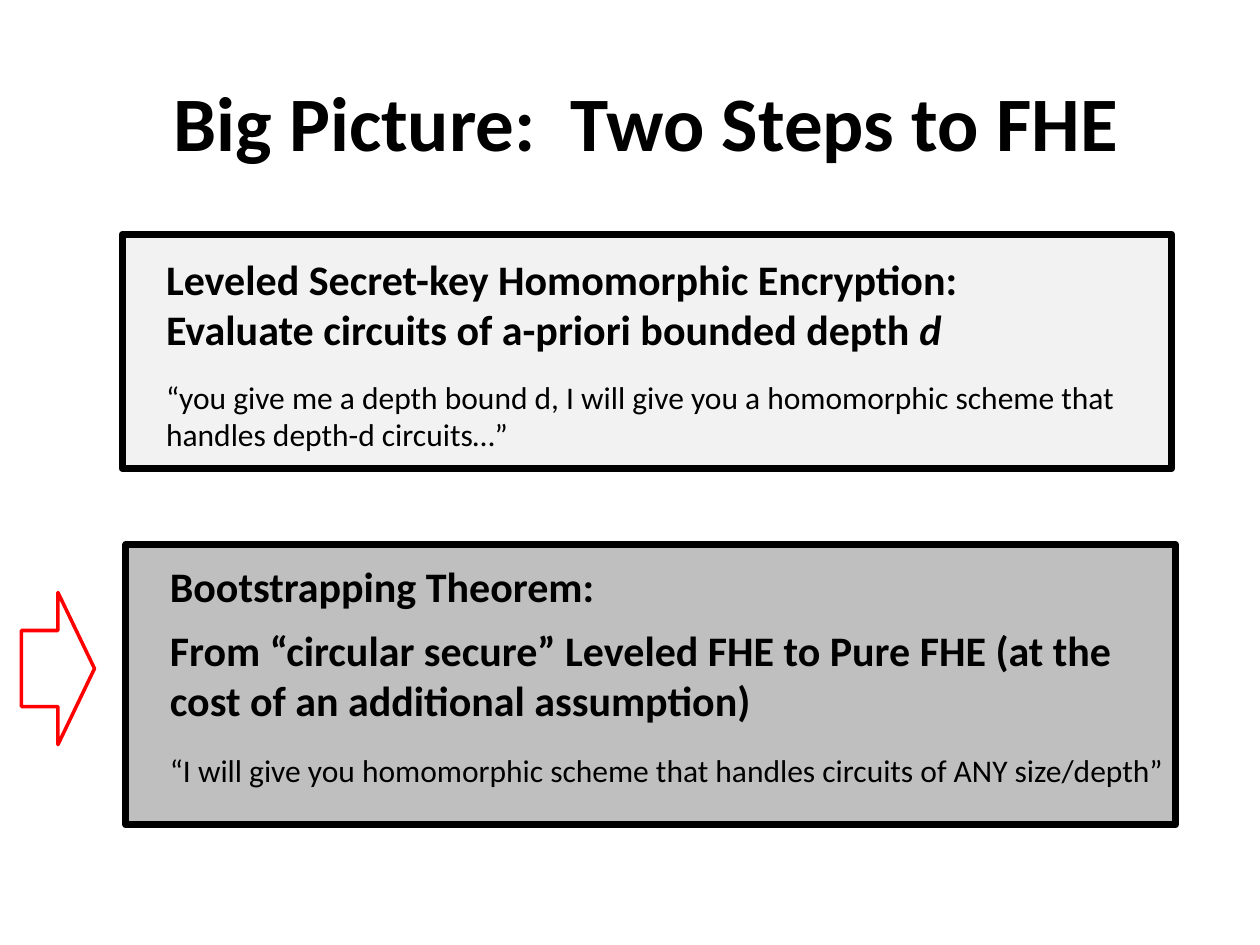
from dataclasses import dataclass

from pptx import Presentation
from pptx.dml.color import RGBColor
from pptx.enum.shapes import MSO_SHAPE as Shape
from pptx.enum.text import MSO_ANCHOR as Anchor, PP_ALIGN as Align
from pptx.util import Inches, Pt

SLIDE_WIDTH, SLIDE_HEIGHT = Inches(10), Inches(7.5)
FONT = "Calibri"
BLACK, RED = "000000", "FF0000"
HEADING, QUOTE = 24, 18


@dataclass
class Box:
    """A rectangle in percent of the slide's width and height."""
    left: float
    top: float
    width: float
    height: float

    def inner(self, left, top, width, height):
        return Box(self.left + left, self.top + top, width, height)

    def lengths(self):
        return (round(SLIDE_WIDTH * self.left / 100),
                round(SLIDE_HEIGHT * self.top / 100),
                round(SLIDE_WIDTH * self.width / 100),
                round(SLIDE_HEIGHT * self.height / 100))


def color(value):
    return RGBColor.from_string(value)


def set_font(paragraph, size, bold):
    font = paragraph.font
    font.name, font.size, font.bold = FONT, Pt(size), bold
    font.color.rgb = color(BLACK)


def add_title(slide, box, text):
    title = slide.shapes.title
    title.left, title.top, title.width, title.height = box.lengths()
    title.text_frame.text = text
    title.text_frame.vertical_anchor = Anchor.MIDDLE
    paragraph = title.text_frame.paragraphs[0]
    paragraph.alignment = Align.CENTER
    set_font(paragraph, 44, True)


def add_outlined(slide, kind, box, line, line_width, fill=None):
    shape = slide.shapes.add_shape(kind, *box.lengths())
    shape.shadow.inherit = False
    if fill:
        shape.fill.solid()
        shape.fill.fore_color.rgb = color(fill)
    else:
        shape.fill.background()
    shape.line.color.rgb = color(line)
    shape.line.width = Pt(line_width)


def add_text(slide, box, text, size, italic_tail=""):
    frame = slide.shapes.add_textbox(*box.lengths()).text_frame
    frame.word_wrap = True
    paragraph = frame.paragraphs[0]
    set_font(paragraph, size, size == HEADING)
    paragraph.add_run().text = text
    if italic_tail:
        tail = paragraph.add_run()
        tail.text = italic_tail
        tail.font.italic = True


def add_step(slide, box, fill, lines):
    """Draw a framed panel; each line is (top, width, height, text, size[, italic tail])."""
    add_outlined(slide, Shape.RECTANGLE, box, BLACK, 4, fill)
    for top, width, height, *content in lines:
        add_text(slide, box.inner(2.5, top, width, height), *content)


def main():
    presentation = Presentation()
    presentation.slide_width, presentation.slide_height = SLIDE_WIDTH, SLIDE_HEIGHT
    slide = presentation.slides.add_slide(presentation.slide_layouts[5])

    add_title(slide, Box(4.2, 4.4, 94.2, 16.7), "Big Picture:  Two Steps to FHE")
    add_step(slide, Box(9.7, 24.8, 83.3, 24.8), "F2F2F2", [
        (1.4, 78.3, 6.7, "Leveled Secret-key Homomorphic Encryption:", HEADING),
        (6.7, 78.3, 6.7, "Evaluate circuits of a-priori bounded depth ", HEADING, "d"),
        (14.5, 78.3, 9.5, "“you give me a depth bound d, I will give you a homomorphic "
                          "scheme that handles depth-d circuits…”", QUOTE),
    ])
    add_step(slide, Box(10, 57.6, 83.3, 29.7), "BFBFBF", [
        (1.1, 75, 6.7, "Bootstrapping Theorem:", HEADING),
        (7.8, 80.6, 7.7, "From “circular secure” Leveled FHE to Pure FHE "
                         "(at the cost of an additional assumption)", HEADING),
        (21.2, 83.3, 5.3, "“I will give you homomorphic scheme that handles "
                          "circuits of ANY size/depth”", QUOTE),
    ])
    add_outlined(slide, Shape.RIGHT_ARROW, Box(1.7, 62.7, 5.8, 16.1), RED, 2)

    presentation.save("out.pptx")


if __name__ == "__main__":
    main()
